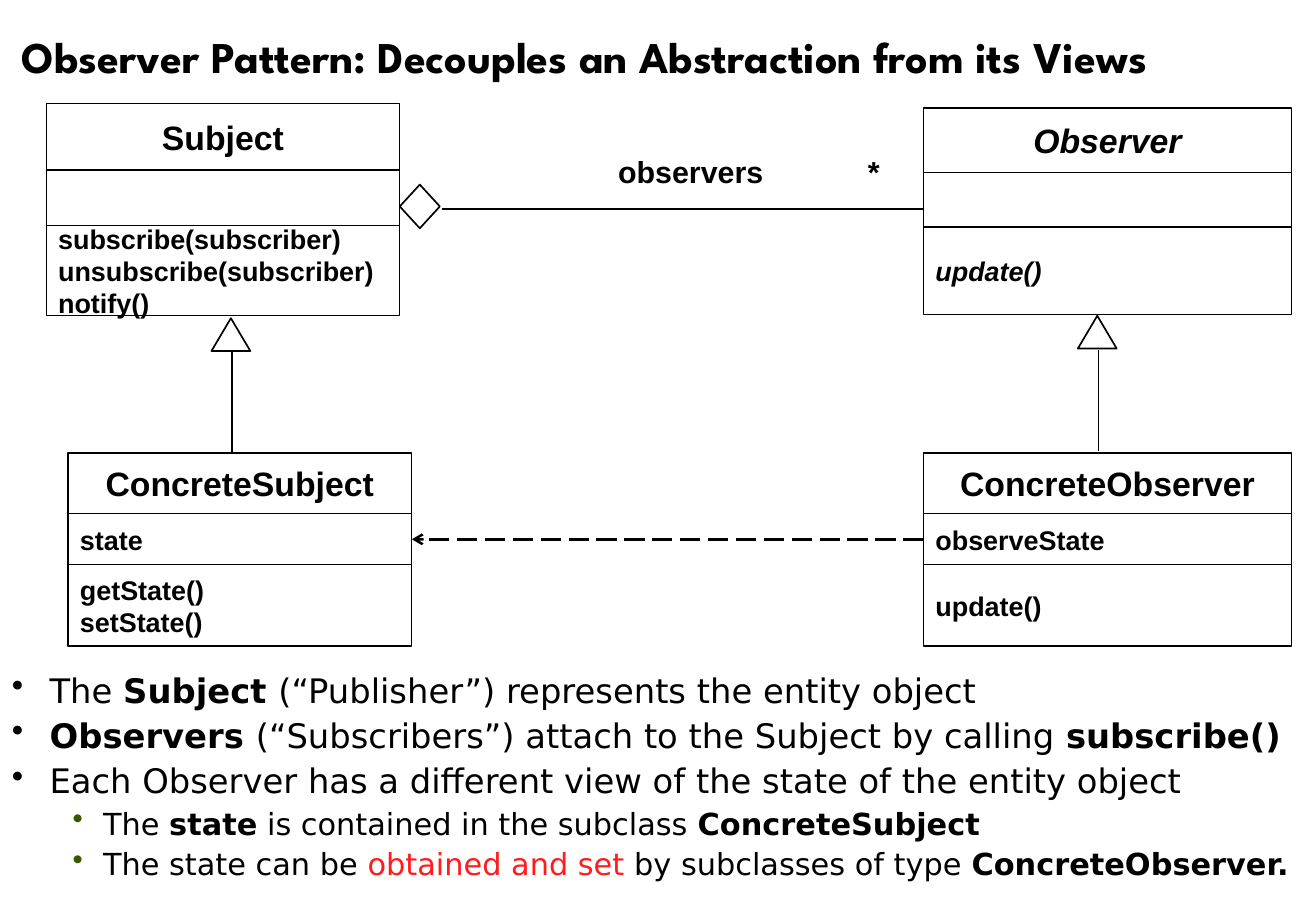
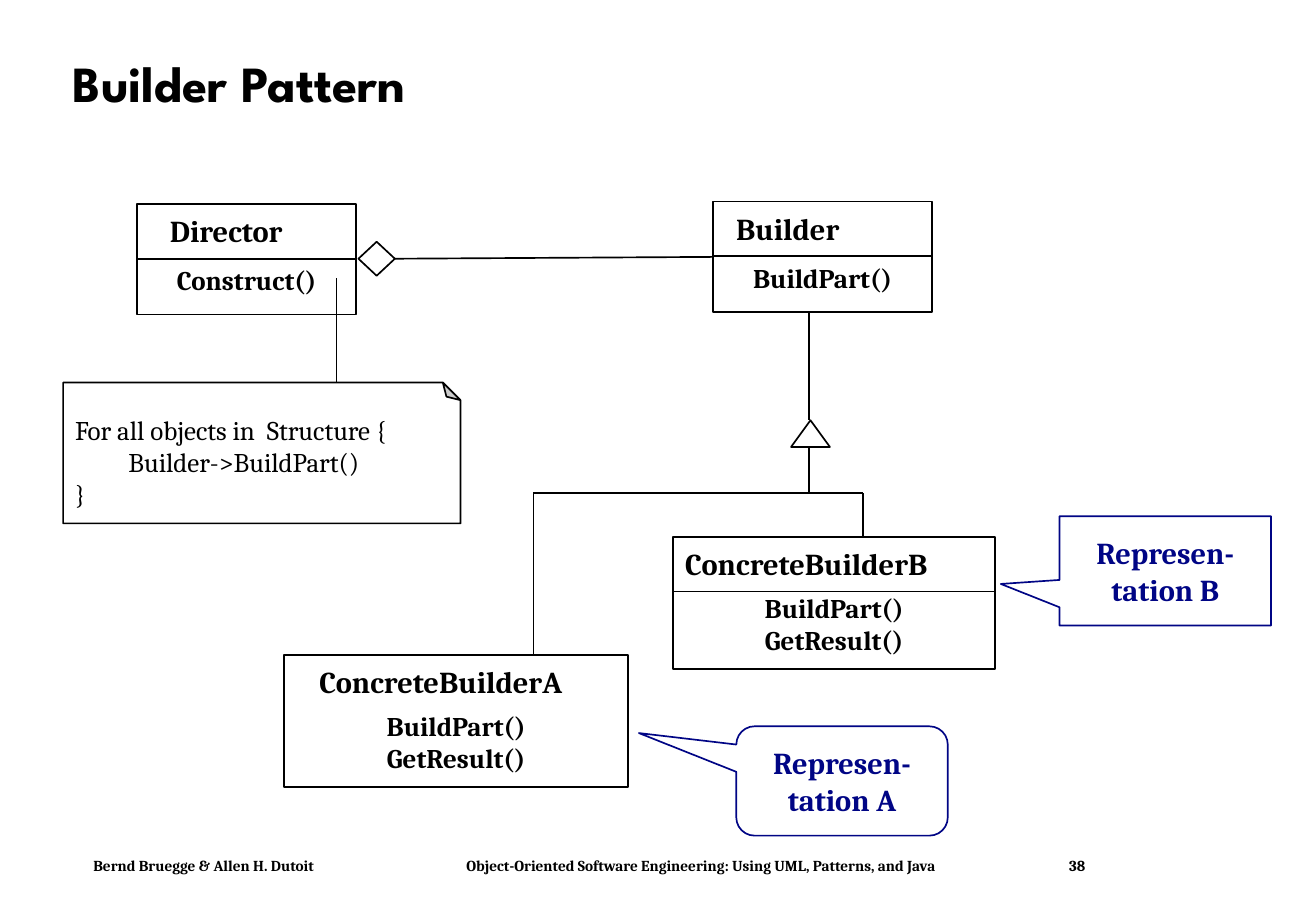
from lxml import etree
from pptx import Presentation
from pptx.dml.color import RGBColor
from pptx.enum.dml import MSO_LINE
from pptx.enum.shapes import MSO_CONNECTOR, MSO_SHAPE
from pptx.enum.text import MSO_ANCHOR, MSO_AUTO_SIZE, PP_ALIGN
from pptx.oxml.ns import qn
from pptx.util import Inches, Pt

BLACK = RGBColor(0x00, 0x00, 0x00)
WHITE = RGBColor(0xFF, 0xFF, 0xFF)
NAVY = RGBColor(0x00, 0x05, 0x85)
RED = RGBColor(0xFF, 0x1C, 0x1F)
OLIVE = RGBColor(0x3D, 0x55, 0x00)
HEAD, SANS, SERIF, BODY = "League Spartan", "Arial", "Cambria", "DejaVu Sans"
LEFT, CENTER = PP_ALIGN.LEFT, PP_ALIGN.CENTER
TOP, MIDDLE = MSO_ANCHOR.TOP, MSO_ANCHOR.MIDDLE
RECT, DIAMOND = MSO_SHAPE.RECTANGLE, MSO_SHAPE.DIAMOND
ARROW_UP, NOTE = MSO_SHAPE.ISOSCELES_TRIANGLE, MSO_SHAPE.FOLDED_CORNER
TALK = MSO_SHAPE.RECTANGULAR_CALLOUT
TALK_ROUND = MSO_SHAPE.ROUNDED_RECTANGULAR_CALLOUT
STRAIGHT, DASH = MSO_CONNECTOR.STRAIGHT, MSO_LINE.LONG_DASH
NO_FIT = MSO_AUTO_SIZE.NONE


def add_run(para, text, size, font, color=BLACK, bold=True, italic=False):
    run = para.add_run()
    run.text = text
    face = run.font
    face.name, face.size = font, Pt(size)
    face.bold, face.italic = bold, italic
    face.color.rgb = color


def fill_text(shape, lines, size, font, align=LEFT, anchor=MIDDLE, **style):
    """Write one paragraph for each line into the shape."""
    frame = shape.text_frame
    frame.word_wrap = True
    frame.auto_size = NO_FIT
    frame.vertical_anchor = anchor
    for i, line in enumerate(lines):
        para = frame.add_paragraph() if i else frame.paragraphs[0]
        para.alignment = align
        add_run(para, line, size, font, **style)


def add_title(slide, text, left, top, width, size):
    title = slide.shapes.title
    title.left, title.top = Inches(left), Inches(top)
    title.width, title.height = Inches(width), Inches(0.94)
    fill_text(title, [text], size, HEAD)
    title.text_frame.paragraphs[0].line_spacing = 0.9


def add_label(slide, text, left, top, width, height, size, font, **style):
    box = slide.shapes.add_textbox(
        Inches(left), Inches(top), Inches(width), Inches(height))
    fill_text(box, [text], size, font, **style)
    return box


def add_form(slide, kind, left, top, width, height, line=1, color=BLACK):
    form = slide.shapes.add_shape(
        kind, Inches(left), Inches(top), Inches(width), Inches(height))
    form.shadow.inherit = False
    form.fill.solid()
    form.fill.fore_color.rgb = WHITE
    form.line.color.rgb = color
    form.line.width = Pt(line)
    return form


def add_line(slide, x1, y1, x2, y2, width=1):
    line = slide.shapes.add_connector(
        STRAIGHT, Inches(x1), Inches(y1), Inches(x2), Inches(y2))
    line.line.color.rgb = BLACK
    line.line.width = Pt(width)
    etree.SubElement(line._element.spPr, qn("a:effectLst"))
    return line


def add_class(slide, left, top, width, heights, name, fields, calls,
              italic=False):
    """Stack name, field and call rows; return the field row."""
    rows = []
    parts = (([name], 20, CENTER), (fields, 16, LEFT), (calls, 16, LEFT))
    for height, (lines, size, align) in zip(heights, parts):
        row = add_form(slide, RECT, left, top, width, height, 0.75)
        fill_text(row, lines, size, SANS, align, italic=italic)
        rows.append(row)
        top += height
    return rows[1]


def add_card(slide, left, top, width, height, name, shift, calls, rule=True):
    """Draw one box with a name above its calls."""
    card = add_form(slide, RECT, left, top, width, height)
    card.text_frame.margin_top = Inches(0.39)
    fill_text(card, calls, 16, SERIF, CENTER)
    add_label(slide, name, left + shift, top + 0.02, width - shift, 0.4,
              18, SERIF, anchor=TOP)
    if rule:
        add_line(slide, left, top + 0.45, left + width, top + 0.45)
    return card


def add_note(slide, left, top, width, height, lines):
    """Draw a sheet with its folded corner at the top right."""
    note = add_form(slide, NOTE, left, top, width, height)
    fill_text(note, lines, 16, SERIF, bold=False)
    props = note._element.spPr
    guides = props.find(qn("a:prstGeom")).find(qn("a:avLst"))
    for guide in list(guides):
        guides.remove(guide)
    etree.SubElement(guides, qn("a:gd"), name="adj", fmla="val 12500")
    # A vertical flip turns the text over, so the body is turned back.
    props.find(qn("a:xfrm")).set("flipV", "1")
    note.text_frame._txBody.find(qn("a:bodyPr")).set("rot", "10800000")


def add_callout(slide, kind, left, top, lines, adjusts):
    form = add_form(slide, kind, left, top, 1.74, 0.9, color=NAVY)
    for i, value in enumerate(adjusts):
        form.adjustments[i] = value
    fill_text(form, lines, 18, SERIF, CENTER, color=NAVY)


def add_bullet(para, level, first):
    margin, hang, color, space = (
        (0.75, 0.25, OLIVE, 6.8) if level else (0.31, 0.31, BLACK, 7.5))
    para.level = level
    props = para._p.get_or_add_pPr()
    props.set("marL", str(Inches(margin)))
    props.set("indent", str(-Inches(hang)))
    tint = etree.SubElement(props, qn("a:buClr"))
    etree.SubElement(tint, qn("a:srgbClr"), val=str(color))
    etree.SubElement(props, qn("a:buChar"), char="•")
    para.line_spacing = 0.8
    if not first:
        para.space_before = Pt(space)


def add_points(slide, points):
    box = slide.shapes.add_textbox(0, Inches(5.53), Inches(10.83), Inches(1.43))
    frame = box.text_frame
    frame.word_wrap = True
    for i, (level, runs) in enumerate(points):
        para = frame.add_paragraph() if i else frame.paragraphs[0]
        add_bullet(para, level, i == 0)
        for text, bold, color in runs:
            add_run(para, text, 18 if level else 20, BODY, color, bold)


def add_footer(slide, parts, stops):
    box = add_label(slide, "\t".join(parts), 0.67, 7, 9.17, 0.25, 9, SERIF,
                    anchor=TOP)
    props = box.text_frame.paragraphs[0]._p.get_or_add_pPr()
    tabs = etree.SubElement(props, qn("a:tabLst"))
    for stop in stops:
        etree.SubElement(tabs, qn("a:tab"), pos=str(Inches(stop)), algn="l")


def draw_observer(slide):
    add_title(slide, "Observer Pattern: Decouples an Abstraction from its Views",
              0.08, 0.02, 10.55, 26)
    add_class(slide, 0.38, 0.85, 2.91, (0.55, 0.46, 0.74), "Subject", [],
              ["subscribe(subscriber)", "unsubscribe(subscriber)", "notify()"])
    add_class(slide, 7.6, 0.89, 3.03, (0.53, 0.45, 0.72), "Observer", [],
              ["update()"], italic=True)
    low = (0.5, 0.42, 0.67)
    state = add_class(slide, 0.56, 3.73, 2.83, low, "ConcreteSubject",
                      ["state"], ["getState()", "setState()"])
    watch = add_class(slide, 7.6, 3.73, 3.03, low, "ConcreteObserver",
                      ["observeState"], ["update()"])

    add_label(slide, "observers", 4.85, 1.29, 1.67, 0.24, 18, SANS, align=CENTER)
    add_label(slide, "*", 7.02, 1.29, 0.34, 0.24, 18, SANS, align=CENTER)
    add_form(slide, DIAMOND, 3.29, 1.52, 0.33, 0.36)
    add_line(slide, 3.64, 1.72, 7.6, 1.72)
    for left, top in ((1.74, 2.62), (8.87, 2.6)):
        add_form(slide, ARROW_UP, left, top, 0.32, 0.27)
        add_line(slide, left + 0.17, top + 0.28, left + 0.17, top + 1.11)

    link = add_line(slide, 7.6, 4.44, 3.39, 4.44, 1.5)
    link.begin_connect(watch, 1)
    link.end_connect(state, 3)
    link.line.dash_style = DASH
    stroke = link._element.spPr.find(qn("a:ln"))
    etree.SubElement(stroke, qn("a:tailEnd"), type="arrow")

    add_points(slide, [
        (0, [("The ", False, BLACK), ("Subject ", True, BLACK),
             ("(“Publisher”) represents the entity object", False, BLACK)]),
        (0, [("Observers ", True, BLACK),
             ("(“Subscribers”) attach to the Subject by calling ", False, BLACK),
             ("subscribe()", True, BLACK)]),
        (0, [("Each Observer has a different view of the state of the entity "
              "object", False, BLACK)]),
        (1, [("The ", False, BLACK), ("state", True, BLACK),
             (" is contained in the subclass ", False, BLACK),
             ("ConcreteSubject", True, BLACK)]),
        (1, [("The state can be ", False, BLACK),
             ("obtained and set", False, RED),
             (" by subclasses of type ", False, BLACK),
             ("ConcreteObserver.", True, BLACK)]),
    ])


def draw_builder(slide):
    add_footer(slide, ["Bernd Bruegge & Allen H. Dutoit",
                       "Object-Oriented Software Engineering: "
                       "Using UML, Patterns, and Java", "38"], (3.07, 8.03))
    add_title(slide, "Builder Pattern", 0.5, 0.24, 9.66, 30)
    both = ["BuildPart()", "GetResult()"]
    add_card(slide, 1.13, 1.68, 1.8, 0.91, "Director", 0.17, ["Construct()"])
    maker = add_card(slide, 5.87, 1.66, 1.8, 0.91, "Builder", 0.09, both[:1])
    add_card(slide, 5.54, 4.42, 2.65, 1.09, "ConcreteBuilderB", 0, both)
    add_card(slide, 2.34, 5.39, 2.83, 1.09, "ConcreteBuilderA", 0.19, both,
             rule=False)
    add_note(slide, 0.52, 3.15, 3.27, 1.16,
             ["For all objects in  Structure {",
              "         Builder->BuildPart()", "}"])

    add_form(slide, DIAMOND, 2.95, 1.99, 0.3, 0.28)
    add_line(slide, 3.25, 2.13, 5.87, 2.12).end_connect(maker, 1)
    add_form(slide, ARROW_UP, 6.51, 3.46, 0.32, 0.22)
    for ends in ((2.77, 2.29, 2.77, 3.15), (6.66, 2.57, 6.66, 3.46),
                 (6.66, 3.68, 6.66, 4.06), (7.1, 4.06, 4.39, 4.06),
                 (4.39, 4.06, 4.39, 5.39), (7.1, 4.06, 7.1, 4.42)):
        add_line(slide, *ends)

    add_callout(slide, TALK, 8.72, 4.25, ["Represen-", "tation B"],
                (-0.778, 0.12))
    add_callout(slide, TALK_ROUND, 6.06, 5.98, ["Represen-", "tation A"],
                (-0.961, -0.438, 0.167))


def main():
    deck = Presentation()
    deck.slide_width, deck.slide_height = Inches(10.83), Inches(7.5)
    for draw in (draw_observer, draw_builder):
        draw(deck.slides.add_slide(deck.slide_layouts[5]))
    deck.save("out.pptx")


if __name__ == "__main__":
    main()
